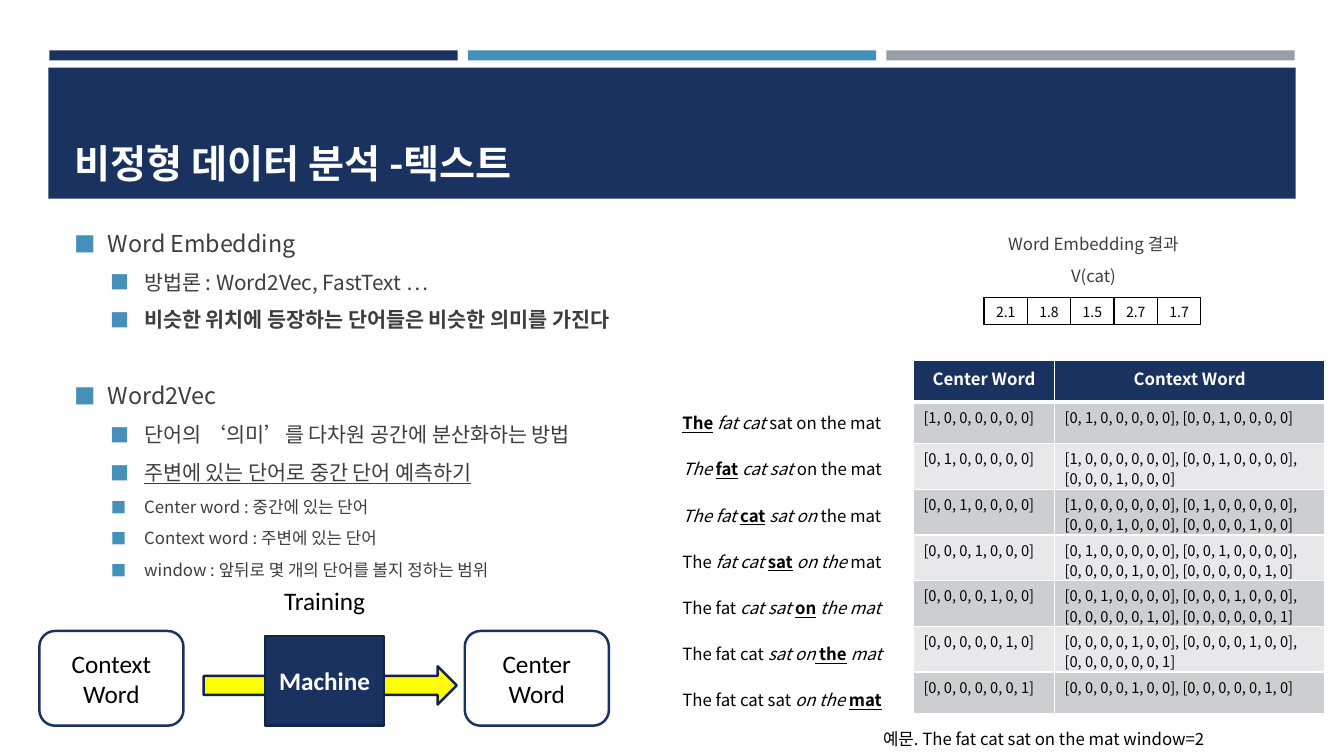
from dataclasses import dataclass

from lxml.etree import SubElement
from pptx import Presentation
from pptx.dml.color import RGBColor
from pptx.enum.shapes import MSO_SHAPE
from pptx.enum.text import MSO_ANCHOR, MSO_AUTO_SIZE, PP_ALIGN
from pptx.oxml.ns import qn
from pptx.util import Inches, Pt


@dataclass(frozen=True)
class Theme:
    sans: str = "Noto Sans CJK KR"
    diagram: str = "Calibri"
    navy: str = "1A3260"
    outline: str = "132547"
    blue: str = "4590B8"
    gray: str = "969FA7"
    body: str = "3D3D3D"
    white: str = "FFFFFF"
    black: str = "000000"
    yellow: str = "FFFF00"
    bands: tuple = ("CDCED2", "E8E8EA")
    title: float = 28
    label: float = 18
    topic: float = 16.6
    point: float = 14.8
    small: float = 12
    vector: float = 10.5
    value: float = 10


T = Theme()


def add_text(p, text, size=T.small, color=T.black, font=T.sans, bold=False, italic=False, underline=False):
    r = p.add_run()
    r.text = text
    f = r.font
    f.size, f.name = Pt(size), font
    f.bold, f.italic, f.underline = bold, italic, underline
    f.color.rgb = RGBColor.from_string(color)
    SubElement(r._r.get_or_add_rPr(), qn("a:ea"), typeface=font)


def space(p, line=None, before=0, after=0):
    if line:
        p.line_spacing = Pt(line)
    p.space_before, p.space_after = Pt(before), Pt(after)


def next_paragraph(tf, i):
    return tf.add_paragraph() if i else tf.paragraphs[0]


class Deck:
    def __init__(self, theme):
        self.t = theme
        self.prs = Presentation()
        self.prs.slide_width, self.prs.slide_height = Inches(13.33), Inches(7.5)
        self.s = self.prs.slides.add_slide(self.prs.slide_layouts[1])

    def shape(self, kind, box, fill, line=None, lines=(), **fmt):
        sp = self.s.shapes.add_shape(kind, *map(Inches, box))
        sp.shadow.inherit = False
        sp.fill.solid()
        sp.fill.fore_color.rgb = RGBColor.from_string(fill)
        if line:
            sp.line.color.rgb = RGBColor.from_string(line)
            sp.line.width = Pt(1.75)
        else:
            sp.line.fill.background()
        tf = sp.text_frame
        tf.vertical_anchor = MSO_ANCHOR.MIDDLE
        for i, text in enumerate(lines):
            p = next_paragraph(tf, i)
            p.alignment = PP_ALIGN.CENTER
            add_text(p, text, self.t.label, font=self.t.diagram, **fmt)

    def place(self, sp, box, anchor=MSO_ANCHOR.TOP):
        sp.left, sp.top, sp.width, sp.height = map(Inches, box)
        tf = sp.text_frame
        tf.word_wrap, tf.auto_size, tf.vertical_anchor = True, MSO_AUTO_SIZE.NONE, anchor
        return tf

    def textbox(self, *box):
        return self.place(self.s.shapes.add_textbox(0, 0, 0, 0), box)

    def title(self, text, *box):
        # The placeholder is moved behind nothing: bars are drawn first
        sp = self.s.shapes.title
        self.s.shapes._spTree.append(sp._element)
        p = self.place(sp, box, MSO_ANCHOR.BOTTOM).paragraphs[0]
        p.alignment = PP_ALIGN.LEFT
        add_text(p, text, self.t.title, self.t.white, bold=True)

    def bullets(self, items, *box):
        tf = self.place(self.s.placeholders[1], box)
        for i, (level, text, size, gap, fmt) in enumerate(items):
            p = next_paragraph(tf, i)
            p.level = level
            space(p, size * 1.2, gap + size * 0.2 if i else 0, 6)
            pPr = p._p.get_or_add_pPr()
            pPr.set("marL", str(Inches(0.69 if level else 0.33)))
            pPr.set("indent", str(Inches(-0.33)))
            SubElement(SubElement(pPr, qn("a:buClr")), qn("a:srgbClr"), val=self.t.blue)
            SubElement(pPr, qn("a:buSzPct"), val="92000")
            SubElement(pPr, qn("a:buFont"), typeface=self.t.sans)
            SubElement(pPr, qn("a:buChar"), char="■")
            add_text(p, text, size, self.t.body, **fmt)

    def table(self, left, top, widths, heights):
        frame = self.s.shapes.add_table(len(heights), len(widths), Inches(left), Inches(top),
                                        Inches(sum(widths)), Inches(sum(heights)))
        tbl = frame.table
        tbl.first_row = tbl.horz_banding = False
        for col, w in zip(tbl.columns, widths):
            col.width = Inches(w)
        for row, h in zip(tbl.rows, heights):
            row.height = Inches(h)
        return tbl

    def cell(self, cell, text, fill=None, border=T.white, bottom=1, center=False, line=None, pad=0.0, **fmt):
        tcPr = cell._tc.get_or_add_tcPr()
        for side, width in zip("LRTB", (1, 1, 1, bottom)):
            ln = SubElement(tcPr, qn(f"a:ln{side}"), w=str(Pt(width)))
            SubElement(SubElement(ln, qn("a:solidFill")), qn("a:srgbClr"), val=border)
        if fill:
            cell.fill.solid()
            cell.fill.fore_color.rgb = RGBColor.from_string(fill)
        else:
            cell.fill.background()
            cell.vertical_anchor = MSO_ANCHOR.MIDDLE
        cell.margin_top, cell.margin_bottom = Inches(0.05 if fill else pad), Inches(pad)
        p = cell.text_frame.paragraphs[0]
        p.alignment = PP_ALIGN.CENTER if center else PP_ALIGN.LEFT
        space(p, line)
        add_text(p, text, **fmt)


WORDS = "The fat cat sat on the mat".split()
# Context word positions listed for each center word
CONTEXTS = [(1, 2), (0, 2, 3), (0, 1, 3, 4), (1, 2, 4, 5), (2, 3, 5, 6), (4, 4, 6), (4, 5)]


def one_hot(i):
    return str([int(i == j) for j in range(len(WORDS))])


def window_sentence(p, center):
    for j, word in enumerate(WORDS):
        near, hit = abs(j - center) <= 2, j == center
        add_text(p, word, italic=near and not hit, bold=hit, underline=hit)
        if j < len(WORDS) - 1:
            lead_in = (center, j) == (5, 4)
            add_text(p, " ", italic=near and not hit and not lead_in, underline=lead_in)


def main():
    d = Deck(T)

    # Header bars and title
    for i, color in enumerate((T.navy, T.blue, T.gray)):
        d.shape(MSO_SHAPE.RECTANGLE, (0.49 + 4.15 * i, 0.5, 4.05, 0.1), color)
    d.shape(MSO_SHAPE.RECTANGLE, (0.48, 0.67, 12.37, 1.3), T.navy)
    d.title("비정형 데이터 분석 -텍스트", 0.64, 0.79, 12.06, 1.11)

    # Topic list
    d.bullets([
        (0, "Word Embedding", T.topic, 0, {}),
        (1, "방법론 : Word2Vec, FastText …", T.point, 0, {}),
        (1, "비슷한 위치에 등장하는 단어들은 비슷한 의미를 가진다", T.point, 0, {"bold": True}),
        (0, "Word2Vec", T.topic, 26.5, {}),
        (1, "단어의 ‘의미’를 다차원 공간에 분산화하는 방법", T.point, 0, {}),
        (1, "주변에 있는 단어로 중간 단어 예측하기", T.point, 0, {"underline": True}),
        (1, "Center word : 중간에 있는 단어", T.small, 0, {}),
        (1, "Context word : 주변에 있는 단어", T.small, 0, {}),
        (1, "window : 앞뒤로 몇 개의 단어를 볼지 정하는 범위", T.small, 0, {}),
    ], 0.64, 2.22, 7.48, 3.74)

    # Example sentences and caption
    tf = d.textbox(6.67, 3.79, 2.3, 3.26)
    for i in range(len(WORDS)):
        p = next_paragraph(tf, i)
        space(p, 33)
        window_sentence(p, i)
    p = d.textbox(8.66, 6.92, 3.51, 0.48).paragraphs[0]
    space(p, 33)
    add_text(p, "예문. The fat cat sat on the mat window=2")

    # Center and context vectors
    heights = [0.41] + [0.45 if len(c) > 2 else 0.41 for c in CONTEXTS]
    tbl = d.table(9.06, 3.58, (1.4, 2.68), heights)
    for j, head in enumerate(("Center Word", "Context Word")):
        d.cell(tbl.cell(0, j), head, T.navy, bottom=3, center=True, color=T.white, bold=True)
    for i, context in enumerate(CONTEXTS):
        for j, text in enumerate((one_hot(i), ", ".join(map(one_hot, context)))):
            d.cell(tbl.cell(i + 1, j), text, T.bands[i % 2], line=14.5, size=T.vector)

    # Training diagram
    d.shape(MSO_SHAPE.RIGHT_ARROW, (2.02, 6.61, 2.51, 0.38), T.yellow, T.outline)
    for left, word in ((0.39, "Context"), (4.61, "Center")):
        d.shape(MSO_SHAPE.ROUNDED_RECTANGLE, (left, 6.26, 1.43, 0.94), T.white, T.navy, (word, "Word"))
    d.shape(MSO_SHAPE.RECTANGLE, (2.63, 6.31, 1.18, 0.89), T.navy, T.outline, ("Machine",),
            color=T.white, bold=True)
    p = d.textbox(2.67, 5.76, 1.1, 0.4).paragraphs[0]
    p.alignment = PP_ALIGN.CENTER
    add_text(p, "Training", T.label, font=T.diagram)

    # Embedding result
    values = ("2.1", "1.8", "1.5", "2.7", "1.7")
    tbl = d.table(9.76, 2.95, [0.43] * len(values), [0.27])
    for j, value in enumerate(values):
        d.cell(tbl.cell(0, j), value, border=T.black, center=True, pad=0.02, size=T.value)
    tf = d.textbox(9.87, 2.27, 1.95, 0.63)
    for i, text in enumerate(("Word Embedding 결과", "V(cat)")):
        p = next_paragraph(tf, i)
        p.alignment = PP_ALIGN.CENTER
        space(p, 14.4, 2.4 if i else 0, 6)
        add_text(p, text, color=T.body)

    d.prs.save("out.pptx")


if __name__ == "__main__":
    main()
